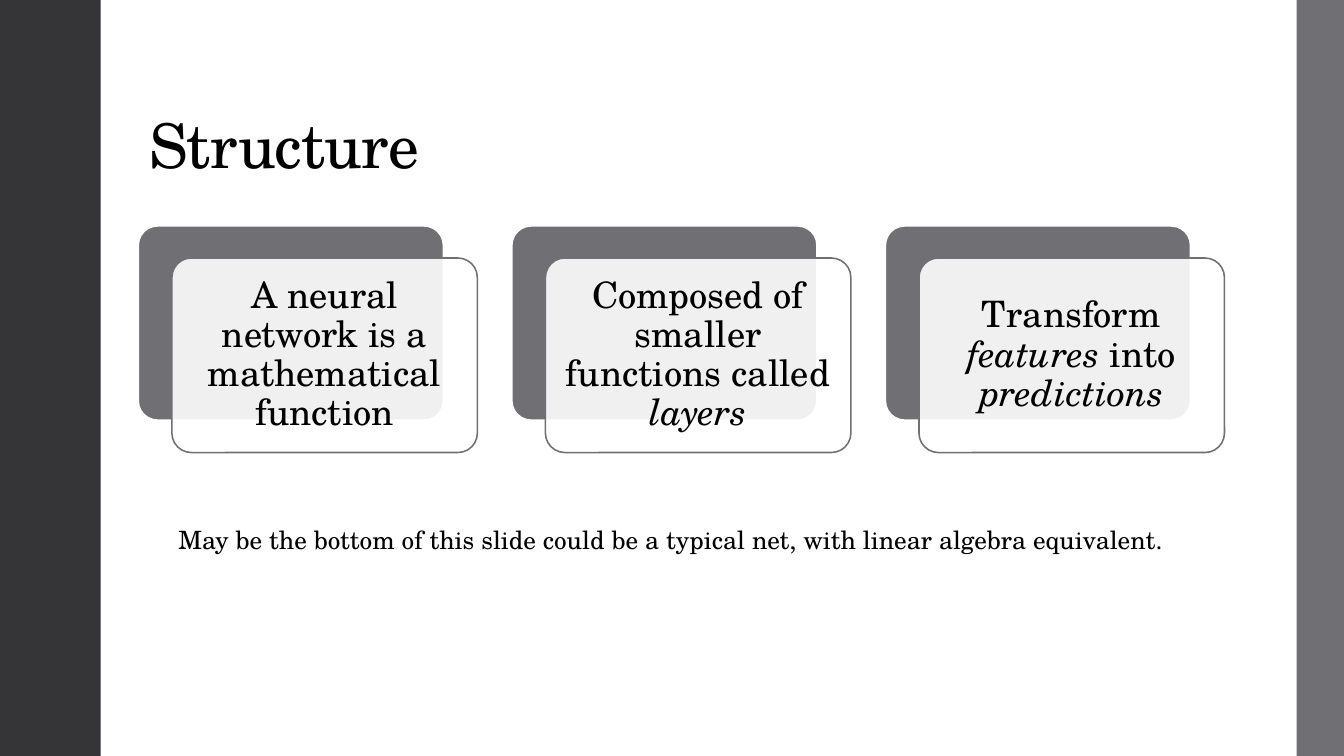
from dataclasses import dataclass

from lxml import etree
from pptx import Presentation
from pptx.dml.color import RGBColor
from pptx.enum import shapes, text
from pptx.oxml import ns
from pptx.util import Inches, Pt

FONT = "TeX Gyre Schola"
COLORS = {
    "dark": "353537",
    "gray": "6F6F74",
    "white": "FFFFFF",
    "black": "000000",
}
CARD_TOP, CARD_WIDTH, CARD_HEIGHT = 2.24, 3.03, 1.93
CARD_LEFT, CARD_PITCH = 1.37, 3.705
FRONT_DX, FRONT_DY = 0.335, 0.32


@dataclass(frozen=True)
class Span:
    text: str
    italic: bool = False


@dataclass(frozen=True)
class Bar:
    left: float
    width: float
    color: str


BARS = [Bar(0, 1, "dark"), Bar(12.86, 0.47, "gray")]
CARDS = [
    [Span("A neural network is a mathematical function")],
    [Span("Composed of smaller functions called "), Span("layers", True)],
    [Span("Transform "), Span("features", True), Span(" into "), Span("predictions", True)],
]


def rgb(name: str) -> RGBColor:
    return RGBColor.from_string(COLORS[name])


def write(sp, spans: list[Span], *, size: float, align=text.PP_ALIGN.LEFT,
          anchor=text.MSO_ANCHOR.TOP, line_spacing: float = 1.0,
          inset: float | None = None, wrap: bool = True, tracking: int = 0) -> None:
    """Fill a shape with one paragraph; tracking is in hundredths of a point."""
    tf = sp.text_frame
    tf.word_wrap = wrap
    tf.vertical_anchor = anchor
    if inset is not None:
        tf.margin_left = tf.margin_right = Inches(inset)
        tf.margin_top = tf.margin_bottom = Inches(inset)
    p = tf.paragraphs[0]
    p.alignment = align
    p.line_spacing = line_spacing
    for span in spans:
        r = p.add_run()
        r.text = span.text
        r.font.name = FONT
        r.font.size = Pt(size)
        r.font.italic = span.italic
        r.font.color.rgb = rgb("black")
        if tracking:
            r.font._element.set("spc", str(tracking))


def add_box(s, kind, left: float, top: float, width: float, height: float, *,
            fill: str, line: str | None = None, line_width: float = 1,
            opacity: int = 100):
    sp = s.shapes.add_shape(kind, Inches(left), Inches(top), Inches(width), Inches(height))
    sp.shadow.inherit = False
    sp.fill.solid()
    sp.fill.fore_color.rgb = rgb(fill)
    if opacity < 100:
        color = sp._element.spPr.find(ns.qn("a:solidFill"))[0]
        etree.SubElement(color, ns.qn("a:alpha"), val=str(opacity * 1000))
    if line:
        sp.line.color.rgb = rgb(line)
        sp.line.width = Pt(line_width)
    else:
        sp.line.fill.background()
    return sp


def add_card(s, left: float, spans: list[Span]) -> None:
    """Draw a gray card with a translucent text card offset over it."""
    kind = shapes.MSO_SHAPE.ROUNDED_RECTANGLE
    back = add_box(s, kind, left, CARD_TOP, CARD_WIDTH, CARD_HEIGHT,
                   fill="gray", line="white", line_width=1.35)
    front = add_box(s, kind, left + FRONT_DX, CARD_TOP + FRONT_DY, CARD_WIDTH, CARD_HEIGHT,
                    fill="white", line="gray", line_width=1.1, opacity=90)
    for sp in (back, front):
        sp.adjustments[0] = 0.1
    write(front, spans, size=26, align=text.PP_ALIGN.CENTER,
          anchor=text.MSO_ANCHOR.MIDDLE, line_spacing=0.9, inset=0.11)


def add_text(s, left: float, top: float, width: float, height: float,
             content: str, **fmt) -> None:
    sp = s.shapes.add_textbox(Inches(left), Inches(top), Inches(width), Inches(height))
    write(sp, [Span(content)], **fmt)


def main() -> None:
    prs = Presentation()
    prs.slide_width, prs.slide_height = Inches(13.33), Inches(7.5)
    s = prs.slides.add_slide(prs.slide_layouts[6])
    s.background.fill.solid()
    s.background.fill.fore_color.rgb = rgb("white")

    for bar in BARS:
        add_box(s, shapes.MSO_SHAPE.RECTANGLE, bar.left, 0, bar.width, 7.5, fill=bar.color)
    add_text(s, 1.38, 0.4, 10.78, 1.45, "Structure", size=44,
             anchor=text.MSO_ANCHOR.BOTTOM, line_spacing=0.9, tracking=-50)
    for i, spans in enumerate(CARDS):
        add_card(s, CARD_LEFT + i * CARD_PITCH, spans)
    add_text(s, 1.67, 5.15, 10.02, 0.4,
             "May be the bottom of this slide could be a typical net, "
             "with linear algebra equivalent.", size=18, wrap=False)
    prs.save("out.pptx")


if __name__ == "__main__":
    main()
